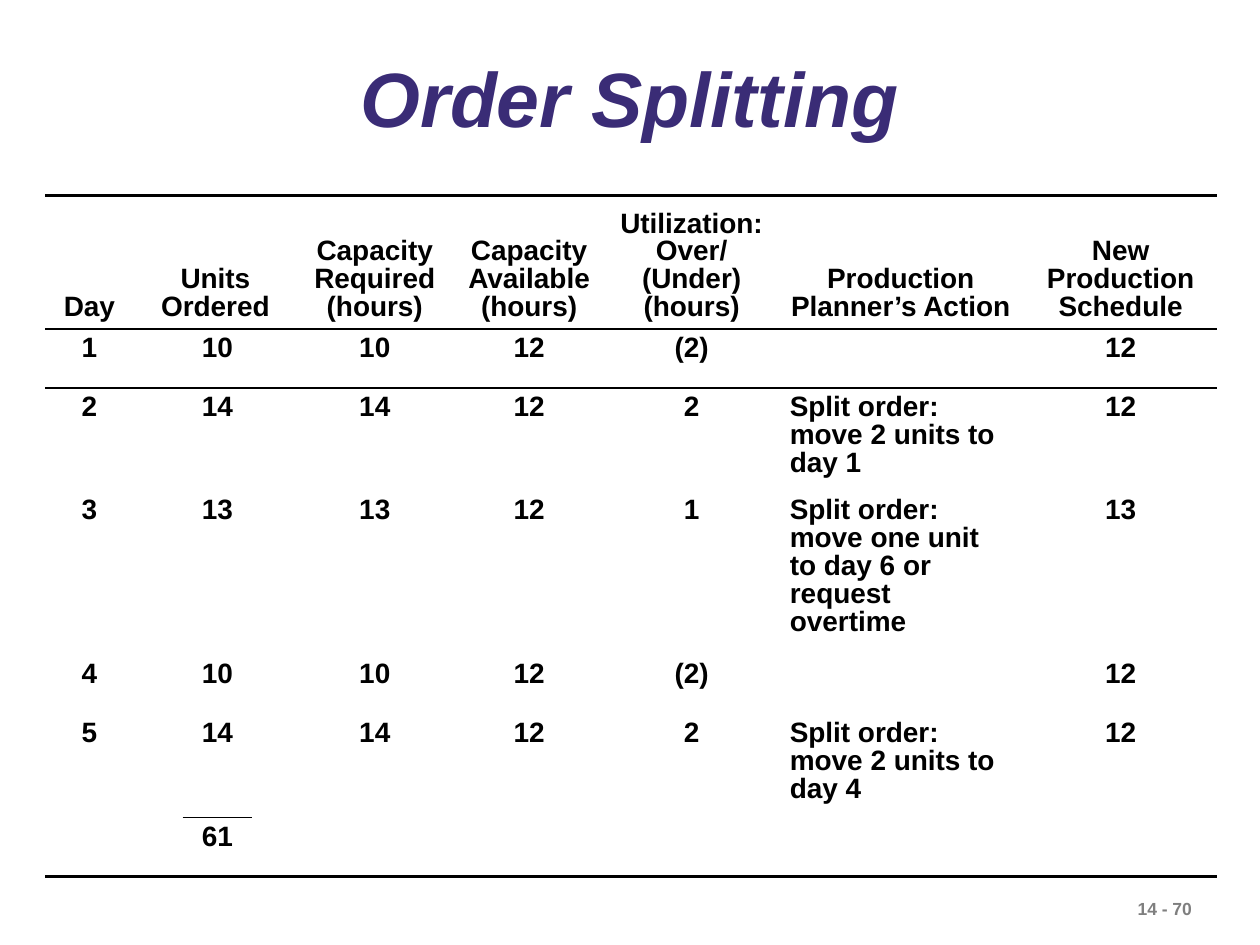
from pptx import Presentation
from pptx.dml.color import RGBColor
from pptx.enum.text import MSO_ANCHOR, PP_ALIGN
from pptx.oxml import parse_xml
from pptx.oxml.ns import nsdecls
from pptx.util import Inches, Pt

BLACK, INDIGO, GRAY = "000000", "3A2C76", "7F7F7F"
THICK, THIN = 2.25, 1
PLAIN_STYLE = "{2D5ABB26-0587-4C30-8999-92F81FD0307C}"

WIDTHS = [0.7, 0.39, 0.55, 0.36, 1.23, 1.22, 1.36, 1.96, 1.53]
HEIGHTS = [1.06, 0.47, 0.82, 1.3, 0.47, 0.82, 0.47]
HEADS = ["Day", "Units Ordered", "Capacity Required (hours)",
         "Capacity Available (hours)", "Utilization: Over/ (Under) (hours)",
         "Production Planner’s Action", "New Production Schedule"]
DAYS = [
    ["1", "10", "10", "12", "(2)", "", "12"],
    ["2", "14", "14", "12", "2", "Split order: move 2 units to day 1", "12"],
    ["3", "13", "13", "12", "1",
     "Split order: move one unit to day 6 or request overtime", "13"],
    ["4", "10", "10", "12", "(2)", "", "12"],
    ["5", "14", "14", "12", "2", "Split order: move 2 units to day 4", "12"],
]
TOTAL = ["", "61", "", "", "", "", ""]
UNITS, ACTION = 2, 7
HEAD_COLS = [0, 1, 4, 5, 6, 7, 8]
BODY_COLS = [0, UNITS, 4, 5, 6, ACTION, 8]


def color(code):
    return RGBColor.from_string(code)


def style(frame, size, code, align, italic=False):
    for par in frame.paragraphs:
        par.alignment = align
        par.line_spacing = 0.9
        for run in par.runs:
            font = run.font
            font.name, font.size = "Arial", Pt(size)
            font.bold, font.italic = True, italic
            font.color.rgb = color(code)


def add_title(slide):
    title = slide.shapes.title
    title.left, title.top = Inches(0.75), Inches(0.34)
    title.width, title.height = Inches(8.5), Inches(0.94)
    frame = title.text_frame
    frame.text = "Order Splitting"
    frame.vertical_anchor = MSO_ANCHOR.MIDDLE
    style(frame, 44, INDIGO, PP_ALIGN.CENTER, italic=True)


def add_number(slide):
    box = slide.shapes.add_textbox(
        Inches(8.93), Inches(7.08), Inches(1.05), Inches(0.27))
    frame = box.text_frame
    frame.word_wrap = True
    frame.text = "14 - 70"
    style(frame, 10, GRAY, PP_ALIGN.LEFT)
    frame.paragraphs[0].line_spacing = 1.0


def add_edge(cell, side, width):
    """Draw one side of a cell; give T before B, and both before the fill."""
    cell._tc.get_or_add_tcPr().append(parse_xml(
        f'<a:ln{side} {nsdecls("a")} w="{Pt(width)}">'
        f'<a:solidFill><a:srgbClr val="{BLACK}"/></a:solidFill></a:ln{side}>'))


def fill_row(table, row, cols, texts):
    for col, text in zip(cols, texts):
        if not text:
            continue
        cell = table.cell(row, col)
        cell.text = text
        left = row > 0 and col == ACTION
        style(cell.text_frame, 16, BLACK,
              PP_ALIGN.LEFT if left else PP_ALIGN.CENTER)
        cell.text_frame.paragraphs[0].space_after = Pt(8)
        if row == 0:
            cell.vertical_anchor = MSO_ANCHOR.BOTTOM


def rule_cells(table):
    last = len(HEIGHTS) - 1
    for row in range(len(HEIGHTS)):
        for col in range(len(WIDTHS)):
            cell = table.cell(row, col)
            total = col == UNITS
            if row == 0:
                add_edge(cell, "T", THICK)
            elif row == 1 or (row == last and total):
                add_edge(cell, "T", THIN)
            if row == last:
                add_edge(cell, "B", THICK)
            elif row == 0 or (row == last - 1 and total):
                add_edge(cell, "B", THIN)
            cell.fill.background()


def add_plan(slide):
    table = slide.shapes.add_table(
        len(HEIGHTS), len(WIDTHS), Inches(0.36), Inches(1.55),
        Inches(sum(WIDTHS)), Inches(sum(HEIGHTS))).table
    table.first_row = table.horz_banding = False
    table._tbl.tblPr[0].text = PLAIN_STYLE
    for column, width in zip(table.columns, WIDTHS):
        column.width = Inches(width)
    for row, height in zip(table.rows, HEIGHTS):
        row.height = Inches(height)
    table.cell(0, 1).merge(table.cell(0, 3))
    fill_row(table, 0, HEAD_COLS, HEADS)
    for row, texts in enumerate(DAYS + [TOTAL], 1):
        fill_row(table, row, BODY_COLS, texts)
    rule_cells(table)


def main():
    deck = Presentation()
    deck.slide_width, deck.slide_height = Inches(10), Inches(7.5)
    slide = deck.slides.add_slide(deck.slide_layouts[5])
    add_title(slide)
    add_plan(slide)
    add_number(slide)
    deck.save("out.pptx")


if __name__ == "__main__":
    main()
